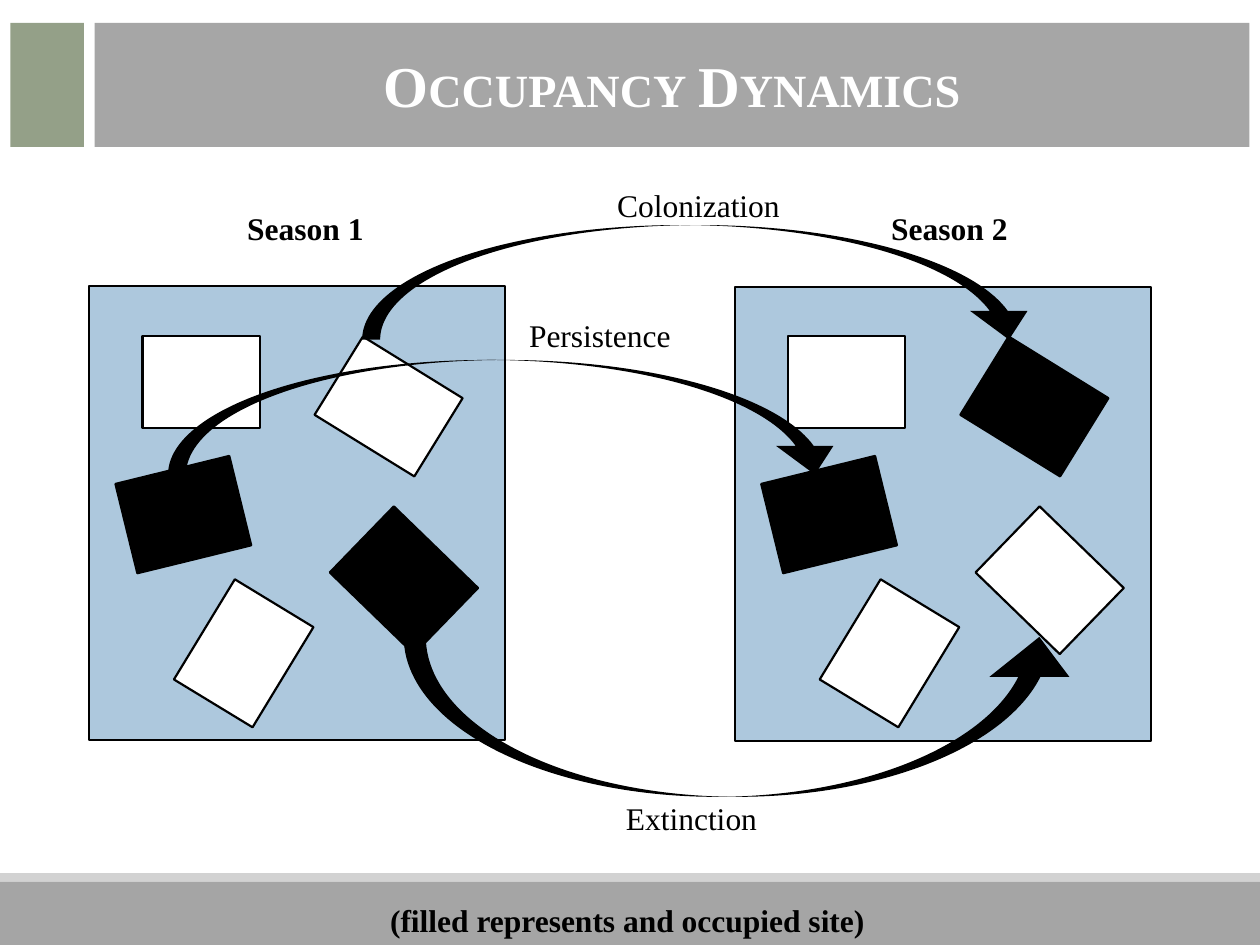
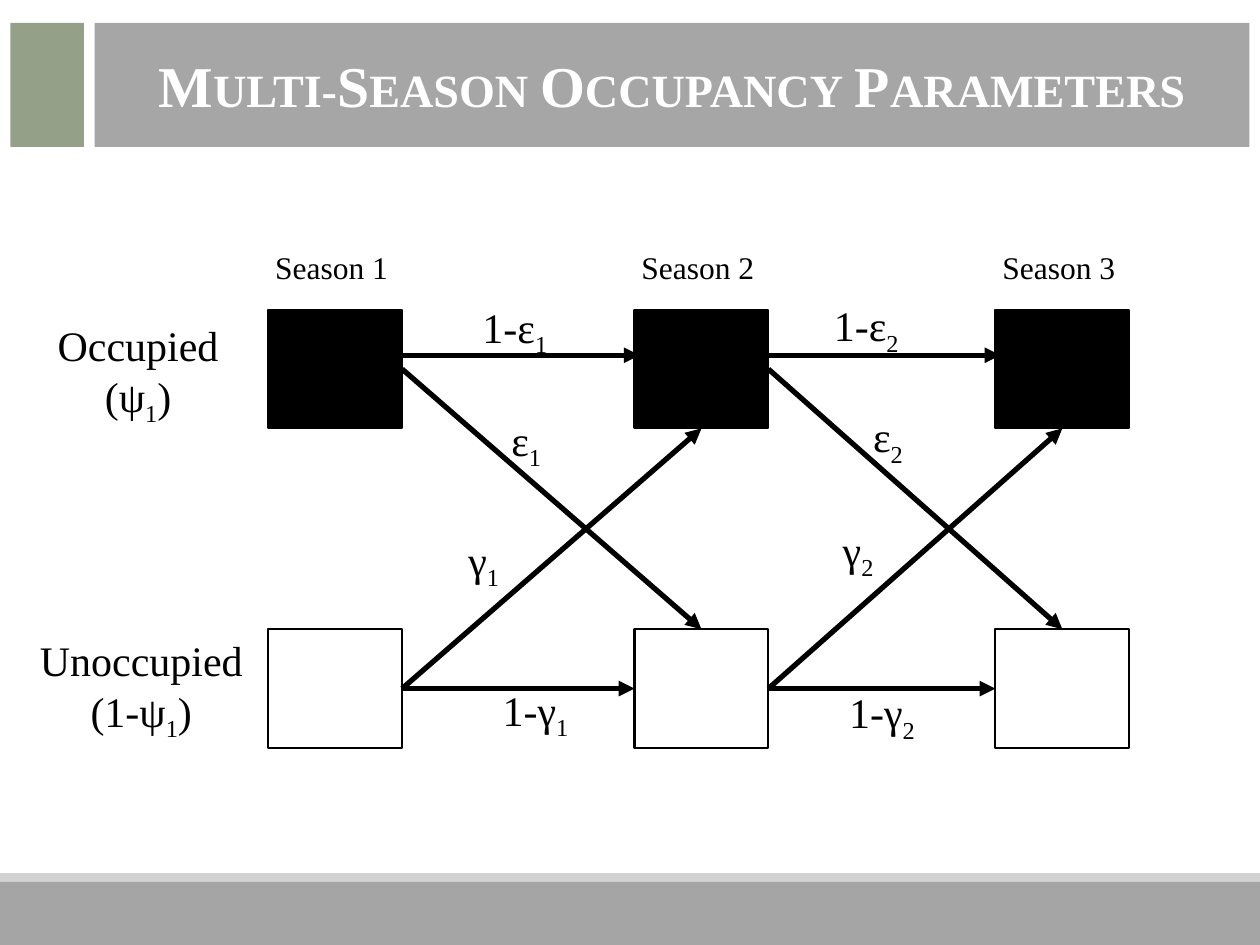
"""Builds two slides on occupancy dynamics and multi-season occupancy parameters."""
from pptx import Presentation
from pptx.dml.color import RGBColor
from pptx.enum.shapes import MSO_CONNECTOR, MSO_SHAPE
from pptx.enum.text import MSO_ANCHOR, PP_ALIGN
from pptx.oxml.ns import qn
from pptx.oxml.xmlchemy import OxmlElement
from pptx.util import Pt

BLACK = RGBColor(0x00, 0x00, 0x00)
WHITE = RGBColor(0xFF, 0xFF, 0xFF)
BAND = RGBColor(0xA6, 0xA6, 0xA6)
ACCENT = RGBColor(0x94, 0xA0, 0x88)
FOOTER = RGBColor(0x80, 0x80, 0x80)
FOOTER_EDGE = RGBColor(0xBF, 0xBF, 0xBF)
LANDSCAPE = RGBColor(0xAD, 0xC8, 0xDD)
FONT = "Times New Roman"


def add_block(page, left, top, width, height, fill, outlined=False, kind=MSO_SHAPE.RECTANGLE):
    """Add a filled shape, with a black outline if asked."""
    block = page.shapes.add_shape(kind, Pt(left), Pt(top), Pt(width), Pt(height))
    block.shadow.inherit = False
    block.fill.solid()
    block.fill.fore_color.rgb = fill
    if outlined:
        block.line.color.rgb = BLACK
        block.line.width = Pt(1.25)
    else:
        block.line.fill.background()
    return block


def add_label(page, left, top, width, height, text, subscript="", ending="",
              size=18, bold=False, align=PP_ALIGN.CENTER):
    """Add a text box, optionally with a subscript and an ending after it."""
    box = page.shapes.add_textbox(Pt(left), Pt(top), Pt(width), Pt(height))
    box.text_frame.word_wrap = True
    para = box.text_frame.paragraphs[0]
    para.text = text
    para.alignment = align
    for extra in filter(None, (subscript, ending)):
        para.add_run().text = extra
    for span in para.runs:
        span.font.name = FONT
        span.font.size = Pt(size)
        span.font.bold = bold
        span.font.color.rgb = BLACK
    if subscript:
        para.runs[1].font._element.set("baseline", "-25000")


deck = Presentation()
deck.slide_width = Pt(720)
deck.slide_height = Pt(540)

pages = []
for title in ("Occupancy Dynamics", "Multi-Season Occupancy Parameters"):
    page = deck.slides.add_slide(deck.slide_layouts[6])
    pages.append(page)
    for top, height, color in ((504, 36, FOOTER), (499, 5, FOOTER_EDGE)):
        strip = add_block(page, 0, top, 720, height, color)
        alpha = OxmlElement("a:alpha")
        alpha.set("val", "70000")
        strip._element.spPr.find(qn("a:solidFill"))[0].append(alpha)
    add_block(page, 6, 13, 42, 71, ACCENT)
    band = add_block(page, 54, 13, 660, 71, BAND)
    band.text_frame.text = title
    band.text_frame.vertical_anchor = MSO_ANCHOR.MIDDLE
    para = band.text_frame.paragraphs[0]
    para.alignment = PP_ALIGN.CENTER
    span = para.runs[0]
    span.font.name = FONT
    span.font.size = Pt(33)
    span.font.bold = True
    span.font.color.rgb = WHITE
    span.font._element.set("cap", "small")

dynamics, parameters = pages

SITES = [
    (81.4, 192.2, 0, WHITE, WHITE),
    (188.6, 206, 31.7, WHITE, BLACK),
    (71.3, 267.8, 346.2, BLACK, BLACK),
    (197.3, 305.3, 44.1, BLACK, WHITE),
    (105.8, 347, 301.3, WHITE, WHITE),
]
for season in range(2):
    shift = season * 369
    add_block(dynamics, 51 + shift, 163.5 + season * 0.7, 237.6, 259.2, LANDSCAPE, True)
    for left, top, rotation, *fills in SITES:
        site = add_block(dynamics, left + shift, top, 67, 52.6, fills[season], True)
        site.rotation = rotation
    add_label(dynamics, 121 + season * 368, 116, 107, 29, f"Season {season + 1}", bold=True)
add_label(dynamics, 206.6, 511.2, 304, 29, "(filled represents and occupied site)", bold=True)

TRANSITIONS = [
    ("Colonization", 345.6, 103, 367.2, -31.7, 65.5, 0.157, ["flipV"]),
    ("Extinction", 350.6, 452.9, 378, 216.7, 91.4, 0.138, ["flipH", "flipV"]),
    ("Persistence", 295.2, 177.1, 256.3, 45.4, 65.5, 0.157, ["flipV"]),
]
for name, label_left, label_top, left, top, width, thickness, flips in TRANSITIONS:
    arrow = add_block(dynamics, left, top, width, 386, BLACK, kind=MSO_SHAPE.CURVED_RIGHT_ARROW)
    arrow.rotation = 90
    for index, value in enumerate((thickness, 0.5, 0.25)):
        arrow.adjustments[index] = value
    for flip in flips:
        arrow._element.spPr.find(qn("a:xfrm")).set(flip, "1")
    add_label(dynamics, label_left, label_top, 111.6, 29, name, align=PP_ALIGN.LEFT)

add_label(parameters, 20.2, 179.3, 117.4, 65.5, "Occupied (ψ", "1", ")", size=24)
add_label(parameters, 9.4, 359.3, 142.6, 65.5, "Unoccupied (1-ψ", "1", ")", size=24)

STATE_LEFTS = (153.3, 362.6, 568.8)
STATE_WIDTH = 76.5
occupied, unoccupied = [], []
for number, left in enumerate(STATE_LEFTS, 1):
    occupied.append(add_block(parameters, left, 177, STATE_WIDTH, 67.8, BLACK, True))
    unoccupied.append(add_block(parameters, left, 359.6, STATE_WIDTH, 67.8, WHITE, True))
    add_label(parameters, left - 4.8, 138.4, 82, 29, f"Season {number}")

for season in range(2):
    links = [
        (unoccupied[season], unoccupied[season + 1], 1),
        (occupied[season], unoccupied[season + 1], 0),
        (unoccupied[season], occupied[season + 1], 2),
        (None, None, None),
    ]
    for source, target, side in links:
        start = STATE_LEFTS[season] + STATE_WIDTH - 12
        finish = STATE_LEFTS[season + 1] + 2.9
        link = parameters.shapes.add_connector(
            MSO_CONNECTOR.STRAIGHT, Pt(start), Pt(203), Pt(finish), Pt(203))
        if source:
            link.begin_connect(source, 3)
            link.end_connect(target, side)
        link.line.color.rgb = BLACK
        link.line.width = Pt(3)
        properties = link._element.spPr
        head = OxmlElement("a:tailEnd")
        head.set("type", "triangle")
        properties.find(qn("a:ln")).append(head)
        properties.append(OxmlElement("a:effectLst"))

PROBABILITIES = [
    ("ε", 38.2, (285.1, 233.3), (491.8, 231.1)),
    ("1-ε", 63.4, (268.6, 168.5), (469.4, 167.8)),
    ("γ", 38.2, (260.6, 301.7), (474.5, 295.9)),
    ("1-γ", 63.4, (280.1, 387.4), (478.1, 388.8)),
]
for symbol, width, *places in PROBABILITIES:
    for number, (left, top) in enumerate(places, 1):
        add_label(parameters, left, top, width, 36, symbol, str(number),
                  size=24, align=PP_ALIGN.LEFT)

deck.save("out.pptx")
